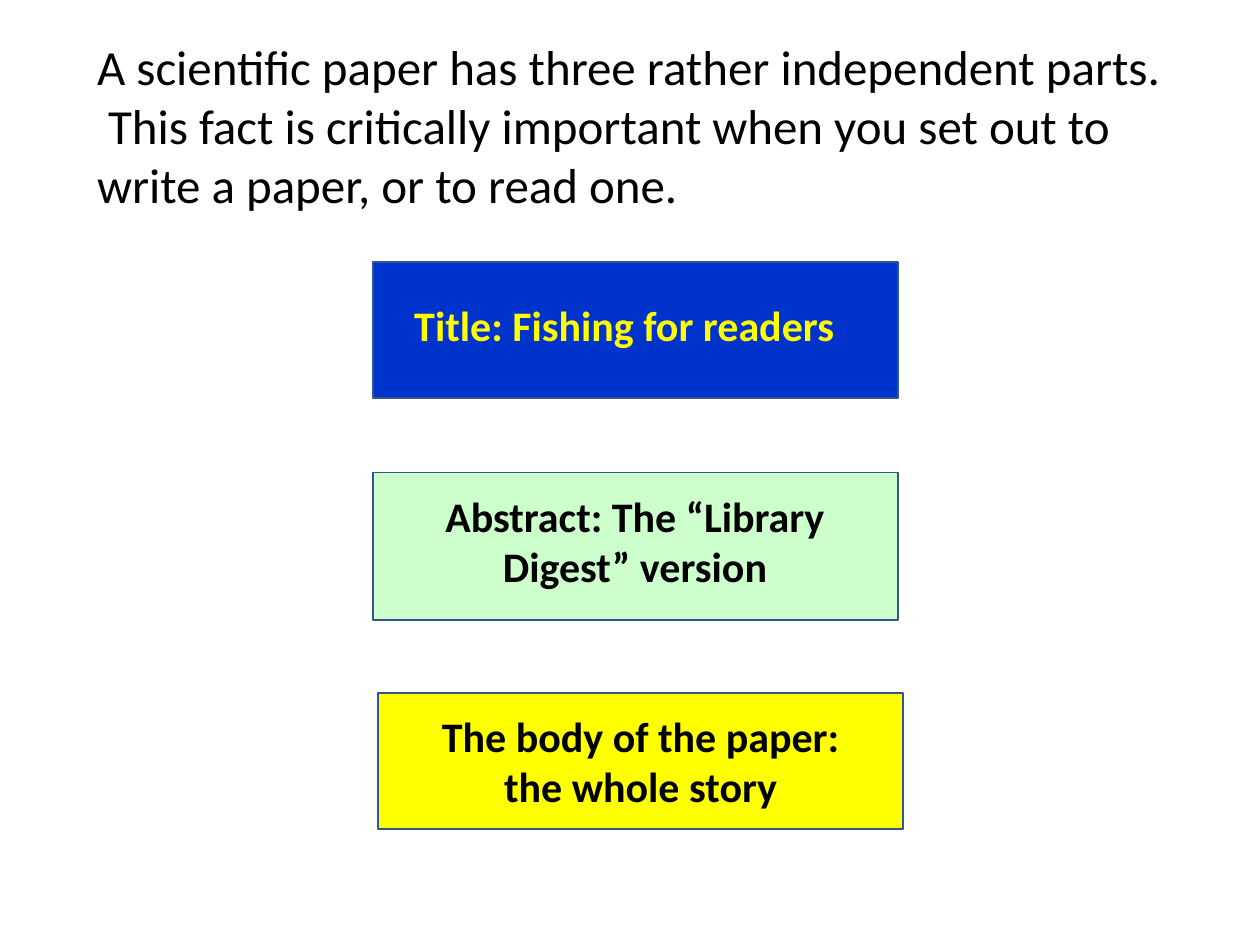
from pptx import Presentation
from pptx.dml.color import RGBColor
from pptx.enum.shapes import MSO_SHAPE as Shape
from pptx.enum.text import MSO_ANCHOR as Anchor, MSO_AUTO_SIZE as AutoSize, PP_ALIGN as Align
from pptx.util import Inches, Pt


def rgb(value):
    return RGBColor.from_string(value)


def write(frame, text, size, color, bold, align):
    frame.text = text
    frame.word_wrap = True
    frame.auto_size = AutoSize.NONE
    frame.vertical_anchor = Anchor.TOP
    paragraph = frame.paragraphs[0]
    paragraph.alignment = align
    font = paragraph.runs[0].font
    font.name = "Calibri"
    font.size = Pt(size)
    font.bold = bold
    font.color.rgb = rgb(color)


deck = Presentation()
deck.slide_width, deck.slide_height = Inches(10), Inches(7.5)
slide = deck.slides.add_slide(deck.slide_layouts[5])

intro = slide.shapes.title
intro.left, intro.top = Inches(0.67), Inches(0.24)
intro.width, intro.height = Inches(8.67), Inches(1.51)
write(intro.text_frame,
      "A scientific paper has three rather independent parts.  This fact is critically "
      "important when you set out to write a paper, or to read one.",
      28, "000000", False, Align.LEFT)

parts = [
    ("Title: Fishing for readers", "0033CC", "FFFF00",
     (2.96, 2.08, 4.17, 1.08), (2.33, 2.33, 5.25, 0.5)),
    ("Abstract: The “Library Digest” version", "CCFFCC", "000000",
     (2.96, 3.75, 4.17, 1.17), (3.25, 3.84, 3.58, 0.91)),
    ("The body of the paper: the whole story", "FFFF00", "000000",
     (3, 5.5, 4.17, 1.08), (3.25, 5.59, 3.67, 0.91)),
]

for wording, fill, ink, panel_area, label_area in parts:
    panel = slide.shapes.add_shape(Shape.RECTANGLE, *map(Inches, panel_area))
    panel.shadow.inherit = False
    panel.fill.solid()
    panel.fill.fore_color.rgb = rgb(fill)
    panel.line.color.rgb = rgb("325491")
    panel.line.width = Pt(1)

    label = slide.shapes.add_textbox(*map(Inches, label_area))
    write(label.text_frame, wording, 24, ink, True, Align.CENTER)

deck.save("out.pptx")
